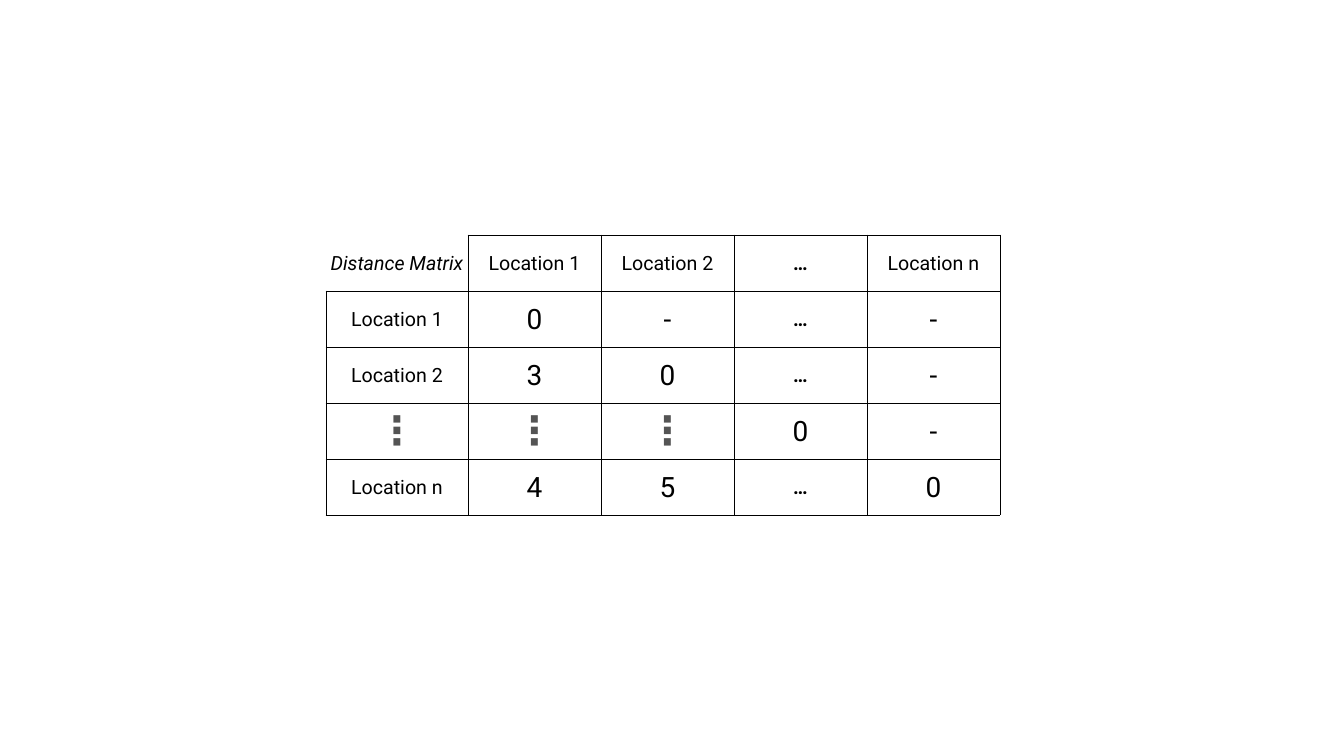
from dataclasses import dataclass

import lxml.etree
import pptx
import pptx.dml.color
import pptx.enum.text
import pptx.oxml.ns
import pptx.table
import pptx.util

EMU_PER_PX = 914400 / 100.8
FONT = "Roboto"
BLACK = "000000"
GREY = "545454"
BORDER_WIDTH = pptx.util.Pt(0.5)

TABLE_LEFT, TABLE_TOP = 326, 235
COLUMN_WIDTHS = [142] + [133] * 4
ROW_HEIGHT = 56

MATRIX = [
    ["Distance Matrix", "Location 1", "Location 2", "…", "Location n"],
    ["Location 1", "0", "-", "…", "-"],
    ["Location 2", "3", "0", "…", "-"],
    ["⋮", "⋮", "⋮", "0", "-"],
    ["Location n", "4", "5", "…", "0"],
]


@dataclass(frozen=True)
class TextStyle:
    size: int
    color: str = BLACK
    bold: bool = False
    italic: bool = False


CORNER = TextStyle(14, italic=True)
HEADING = TextStyle(14)
VALUE = TextStyle(20)
SYMBOLS = {"…": TextStyle(14, bold=True), "⋮": TextStyle(28, GREY, bold=True)}


def px(length: int) -> pptx.util.Emu:
    return pptx.util.Emu(round(length * EMU_PER_PX))


def rgb(color: str) -> pptx.dml.color.RGBColor:
    return pptx.dml.color.RGBColor.from_string(color)


def style_for(row: int, column: int, text: str) -> TextStyle:
    if row == 0 and column == 0:
        return CORNER
    if text in SYMBOLS:
        return SYMBOLS[text]
    return HEADING if row == 0 or column == 0 else VALUE


def set_borders(cell: pptx.table._Cell, visible_sides: str) -> None:
    """Draw the sides named in visible_sides and clear the others."""
    qualified = pptx.oxml.ns.qn
    properties = cell._tc.get_or_add_tcPr()
    for position, side in enumerate("LRTB"):
        line = lxml.etree.Element(qualified(f"a:ln{side}"), w=str(BORDER_WIDTH))
        if side in visible_sides:
            fill = lxml.etree.SubElement(line, qualified("a:solidFill"))
            lxml.etree.SubElement(fill, qualified("a:srgbClr"), val=BLACK)
        else:
            lxml.etree.SubElement(line, qualified("a:noFill"))
        properties.insert(position, line)


def fill_cell(cell: pptx.table._Cell, text: str, style: TextStyle) -> None:
    cell.fill.background()
    cell.margin_left = cell.margin_right = cell.margin_top = px(1)
    cell.margin_bottom = px(0)
    cell.vertical_anchor = pptx.enum.text.MSO_ANCHOR.MIDDLE
    cell.text_frame.text = text
    paragraph = cell.text_frame.paragraphs[0]
    paragraph.alignment = pptx.enum.text.PP_ALIGN.CENTER
    font = paragraph.runs[0].font
    font.name = FONT
    font.size = pptx.util.Pt(style.size)
    font.bold = style.bold
    font.italic = style.italic
    font.color.rgb = rgb(style.color)


def main() -> None:
    presentation = pptx.Presentation()
    presentation.slide_width = px(1344)
    presentation.slide_height = px(756)
    slide = presentation.slides.add_slide(presentation.slide_layouts[6])

    # Table frame
    frame = slide.shapes.add_table(
        len(MATRIX), len(COLUMN_WIDTHS), px(TABLE_LEFT), px(TABLE_TOP),
        px(sum(COLUMN_WIDTHS)), px(ROW_HEIGHT * len(MATRIX)),
    )
    table = frame.table
    table.first_row = False
    table.horz_banding = False
    for column, width in zip(table.columns, COLUMN_WIDTHS):
        column.width = px(width)
    for row in table.rows:
        row.height = px(ROW_HEIGHT)

    # Distances; the corner label is open at the top and left
    for row_index, texts in enumerate(MATRIX):
        for column_index, text in enumerate(texts):
            cell = table.cell(row_index, column_index)
            style = style_for(row_index, column_index, text)
            fill_cell(cell, text, style)
            set_borders(cell, "RB" if style is CORNER else "LRTB")

    presentation.save("out.pptx")


if __name__ == "__main__":
    main()
